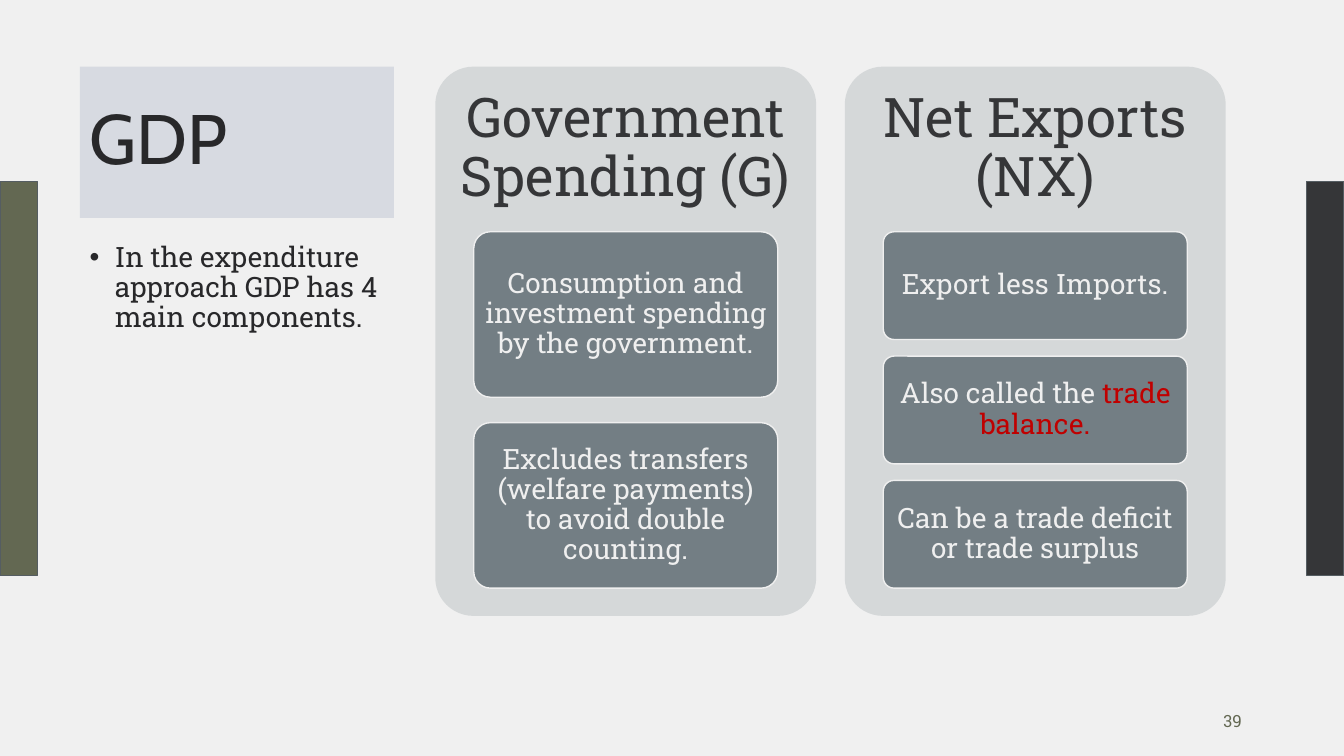
import dataclasses

import pptx
import pptx.dml.color
import pptx.enum.shapes
import pptx.enum.text
import pptx.oxml
import pptx.util

Cm = pptx.util.Cm
Pt = pptx.util.Pt
ALIGN = pptx.enum.text.PP_ALIGN
ANCHOR = pptx.enum.text.MSO_ANCHOR
SHAPE = pptx.enum.shapes.MSO_SHAPE

TITLE = "GDP"
BODY = "In the expenditure approach GDP has 4 main components."
PAGE = "39"
COLUMNS = [
    ("Government Spending (G)", [
        [("Consumption and investment spending by the government.", "light")],
        [("Excludes transfers (welfare payments) to avoid double counting.", "light")],
    ]),
    ("Net Exports (NX)", [
        [("Export less Imports.", "light")],
        [("Also called the ", "light"), ("trade balance.", "accent")],
        [("Can be a trade deficit or trade surplus", "light")],
    ]),
]


@dataclasses.dataclass(frozen=True)
class Theme:
    back: str = "F0F0F0"
    title_fill: str = "D7DAE1"
    panel: str = "D5D8D9"
    card: str = "737E84"
    light: str = "EFEFEF"
    accent: str = "C00000"
    ink: str = "28282A"
    dark: str = "353638"
    olive: str = "636852"
    bar_line: str = "555D62"
    title_font: str = "Cabin"
    text_font: str = "Roboto Slab"
    title_size: int = 50
    heading_size: int = 39
    text_size: int = 20
    page_size: int = 12


theme = Theme()
SLIDE_W, SLIDE_H = 33.87, 19.05
LEFT, TOP, SIDE_W, TITLE_H = 2.01, 1.68, 7.92, 3.81
BODY_TOP, BODY_H = 6, 9.52
PANEL_LEFT, PANEL_STEP, PANEL_W, PANEL_H = 10.97, 10.32, 9.6, 13.84
HEADING_H, HEADING_INSET = 4.15, 0.41
CARD_INSET, CARD_TOP, CARDS_H, CARD_GAP = 0.97, 5.84, 8.98, 0.154
BAR_W, BAR_TOP, BAR_H = 0.95, 4.57, 9.93


def rgb(value):
    return pptx.dml.color.RGBColor.from_string(value)


def place(s, left, top, width, height):
    s.left, s.top, s.width, s.height = Cm(left), Cm(top), Cm(width), Cm(height)


def add_box(shapes, kind, box, fill, line=None):
    s = shapes.add_shape(kind, *map(Cm, box))
    s.shadow.inherit = False
    s.fill.solid()
    s.fill.fore_color.rgb = rgb(fill)
    if line:
        s.line.color.rgb = rgb(line)
        s.line.width = Pt(1)
    else:
        s.line.fill.background()
    if kind == SHAPE.ROUNDED_RECTANGLE:
        s.adjustments[0] = 0.1
    return s


def write(s, runs, size, align=ALIGN.CENTER, anchor=ANCHOR.MIDDLE,
          inset=(0.25, 0.13), font=theme.text_font, spacing=0.9):
    tf = s.text_frame
    tf.word_wrap = True
    tf.auto_size = pptx.enum.text.MSO_AUTO_SIZE.NONE
    tf.vertical_anchor = anchor
    tf.margin_left = tf.margin_right = Cm(inset[0])
    tf.margin_top = tf.margin_bottom = Cm(inset[1])
    p = tf.paragraphs[0]
    p.alignment = align
    p.line_spacing = spacing
    p.space_before = Pt(0)
    for text, color in runs:
        r = p.add_run()
        r.text = text
        r.font.name = font
        r.font.size = Pt(size)
        r.font.color.rgb = rgb(getattr(theme, color))
    return p


def add_bullet(p):
    pPr = p._p.get_or_add_pPr()
    pPr.set("marL", str(Cm(0.635)))
    pPr.set("indent", str(-Cm(0.635)))
    bullet = pptx.oxml.parse_xml(
        '<a:buChar xmlns:a="http://schemas.openxmlformats.org/drawingml/2006/main" char="•"/>')
    pPr.append(bullet)


def add_column(shapes, left, heading, cards):
    add_box(shapes, SHAPE.ROUNDED_RECTANGLE, (left, TOP, PANEL_W, PANEL_H), theme.panel)
    s = shapes.add_textbox(*map(Cm, (left, TOP, PANEL_W, HEADING_H)))
    write(s, [(heading, "dark")], theme.heading_size, inset=(HEADING_INSET, HEADING_INSET))
    height = CARDS_H / (len(cards) + (len(cards) - 1) * CARD_GAP)
    for i, runs in enumerate(cards):
        box = (left + CARD_INSET, CARD_TOP + i * height * (1 + CARD_GAP),
               PANEL_W - 2 * CARD_INSET, height)
        s = add_box(shapes, SHAPE.ROUNDED_RECTANGLE, box, theme.card, theme.light)
        write(s, runs, theme.text_size, inset=(0.14, 0.11))


def main():
    prs = pptx.Presentation()
    prs.slide_width, prs.slide_height = Cm(SLIDE_W), Cm(SLIDE_H)
    slide = prs.slides.add_slide(prs.slide_layouts[1])
    slide.background.fill.solid()
    slide.background.fill.fore_color.rgb = rgb(theme.back)

    for left, fill in ((SLIDE_W - BAR_W, theme.dark), (0, theme.olive)):
        add_box(slide.shapes, SHAPE.RECTANGLE, (left, BAR_TOP, BAR_W, BAR_H),
                fill, theme.bar_line)

    title, body = slide.placeholders
    place(title, LEFT, TOP, SIDE_W, TITLE_H)
    title.fill.solid()
    title.fill.fore_color.rgb = rgb(theme.title_fill)
    write(title, [(TITLE, "ink")], theme.title_size, ALIGN.LEFT, font=theme.title_font)

    place(body, LEFT, BODY_TOP, SIDE_W, BODY_H)
    add_bullet(write(body, [(BODY, "ink")], theme.text_size, ALIGN.LEFT, ANCHOR.TOP))

    for i, (heading, cards) in enumerate(COLUMNS):
        add_column(slide.shapes, PANEL_LEFT + i * PANEL_STEP, heading, cards)

    s = slide.shapes.add_textbox(Cm(23.93), Cm(17.65), Cm(7.62), Cm(1.02))
    write(s, [(PAGE, "olive")], theme.page_size, ALIGN.RIGHT, spacing=1.0)
    prs.save("out.pptx")


if __name__ == "__main__":
    main()
